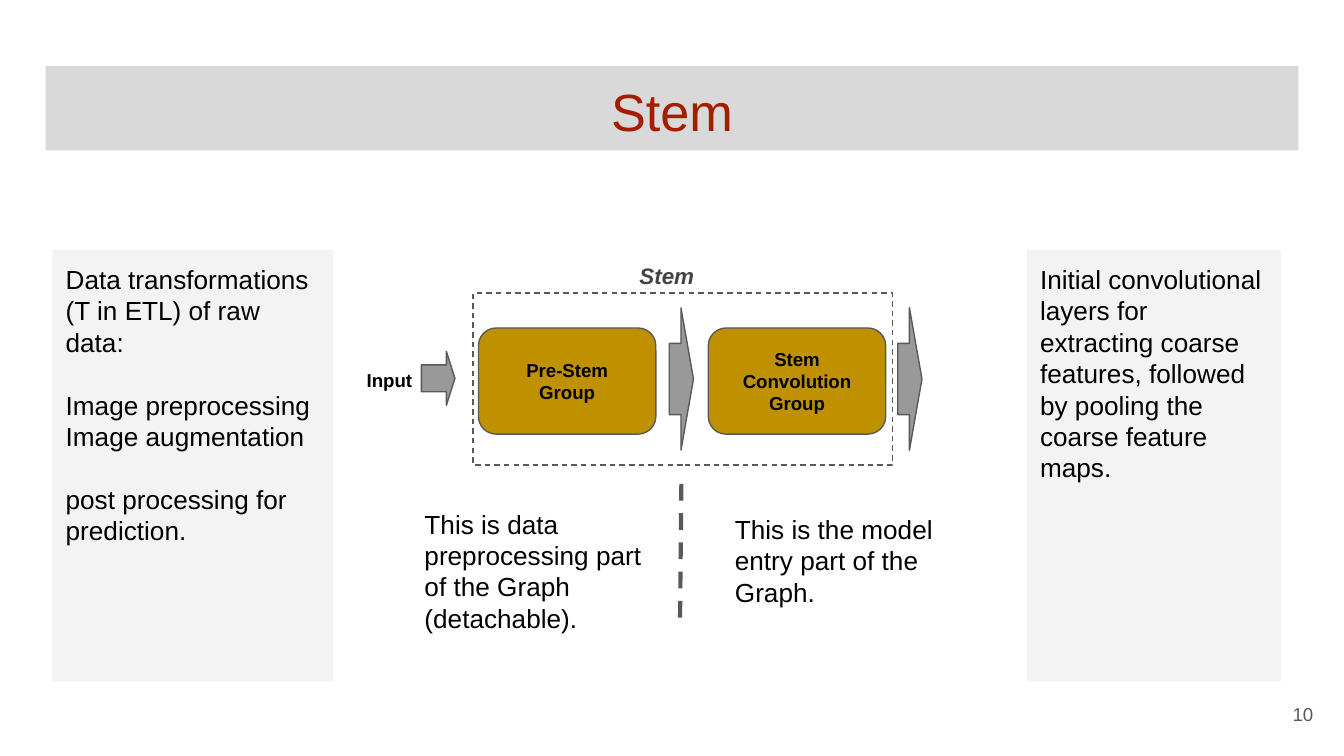
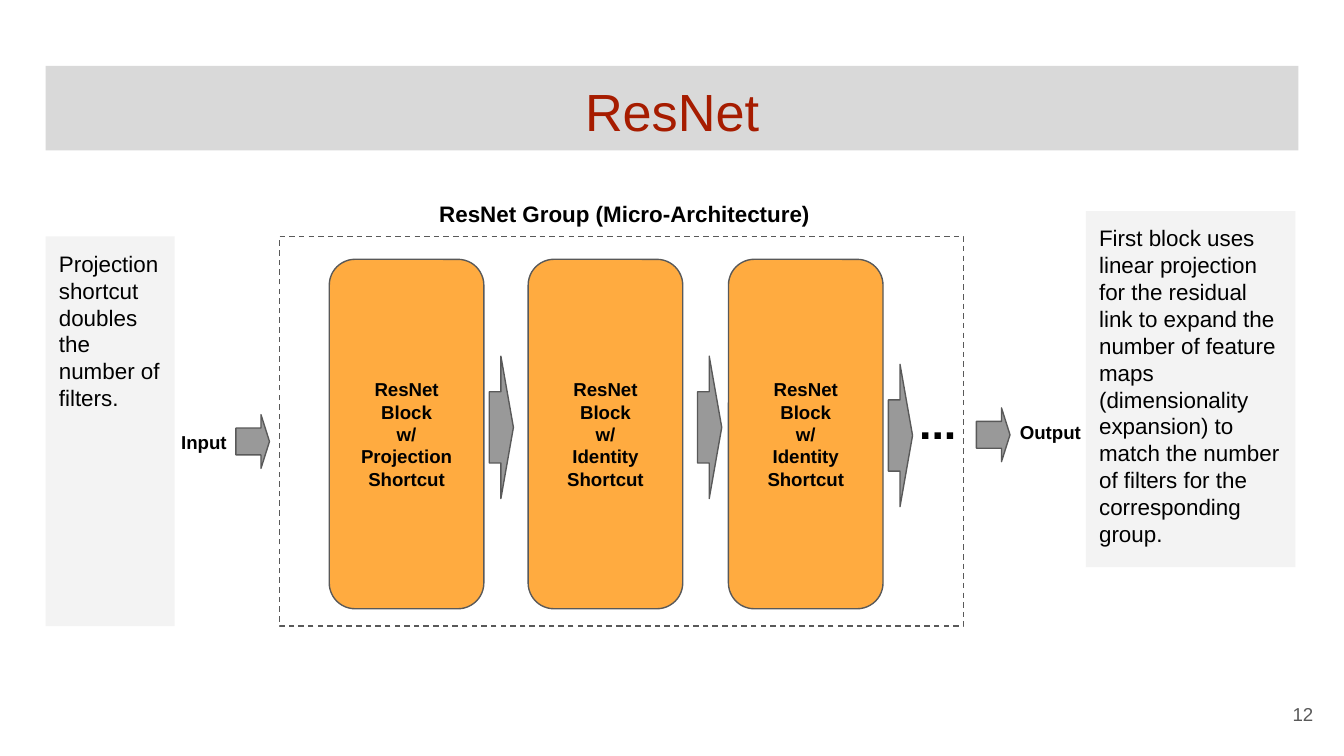
from lxml import etree
from pptx import Presentation
from pptx.dml.color import RGBColor
from pptx.enum import dml, shapes, text
from pptx.oxml.ns import qn
from pptx.util import Inches, Pt

COLORS = {
    "band": "D9D9D9",
    "title": "A61C00",
    "panel": "F3F3F3",
    "ink": "000000",
    "caption": "434343",
    "outline": "595959",
    "arrow": "999999",
    "stem": "BF9000",
    "resnet": "FFAB40",
}
FONT = "Arial"
SHAPE = shapes.MSO_SHAPE
ALIGN = text.PP_ALIGN
ANCHOR = text.MSO_ANCHOR


def rgb(name):
    return RGBColor.from_string(COLORS[name])


def write(target, paragraphs, size, color="ink", bold=False, italic=False,
          align=ALIGN.LEFT, anchor=ANCHOR.TOP, gaps=()):
    frame = target.text_frame
    frame.word_wrap = True
    frame.vertical_anchor = anchor
    frame.margin_left = frame.margin_right = Inches(0.1)
    frame.margin_top = frame.margin_bottom = Inches(0.1)
    for index, content in enumerate(paragraphs):
        paragraph = frame.add_paragraph() if index else frame.paragraphs[0]
        paragraph.alignment = align
        if index in gaps:
            paragraph.space_before = Pt(size * 1.2)
        for part, line in enumerate(content.split("\n")):
            if part:
                paragraph.add_line_break()
            run = paragraph.add_run()
            run.text = line
            run.font.name = FONT
            run.font.size = Pt(size)
            run.font.bold = bold
            run.font.italic = italic
            run.font.color.rgb = rgb(color)


def add_block(slide, kind, box, fill=None, outlined=False):
    block = slide.shapes.add_shape(kind, *map(Inches, box))
    block.shadow.inherit = False
    if fill:
        block.fill.solid()
        block.fill.fore_color.rgb = rgb(fill)
    else:
        block.fill.background()
    if outlined:
        block.line.color.rgb = rgb("outline")
        block.line.width = Pt(0.75)
    else:
        block.line.fill.background()
    return block


def add_label(slide, box, content, size, **style):
    label = slide.shapes.add_textbox(*map(Inches, box))
    write(label, [content], size, **style)


def add_panel(slide, box, paragraphs, size, gaps=()):
    write(add_block(slide, SHAPE.RECTANGLE, box, "panel"), paragraphs, size, gaps=gaps)


def add_group(slide, box, paragraphs, fill):
    group = add_block(slide, SHAPE.ROUNDED_RECTANGLE, box, fill, True)
    group.adjustments[0] = 0.167
    write(group, paragraphs, 10, bold=True, align=ALIGN.CENTER, anchor=ANCHOR.MIDDLE)


def add_arrow(slide, left, top, width, height, head):
    arrow = add_block(slide, SHAPE.DOWN_ARROW, (left, top, width, height), "arrow", True)
    arrow.rotation = 270
    arrow.adjustments[0] = 0.5
    arrow.adjustments[1] = head


def add_flow_arrow(slide, left, top):
    add_arrow(slide, left, top, 1.06, 0.18, 0.517)


def add_port_arrow(slide, left, top):
    add_arrow(slide, left, top, 0.4, 0.25, 0.253)


def add_frame(slide, box):
    frame = add_block(slide, SHAPE.RECTANGLE, box, outlined=True)
    frame.line.dash_style = dml.MSO_LINE.DASH


def add_divider(slide, start, end):
    divider = slide.shapes.add_connector(
        shapes.MSO_CONNECTOR.STRAIGHT, *map(Inches, start + end))
    divider.line.color.rgb = rgb("outline")
    divider.line.width = Pt(2.25)
    divider.line.dash_style = dml.MSO_LINE.DASH
    etree.SubElement(divider._element.spPr, qn("a:effectLst"))


def add_page(deck, title):
    slide = deck.slides.add_slide(deck.slide_layouts[6])
    band = add_block(slide, SHAPE.RECTANGLE, (0.34, 0.49, 9.32, 0.63), "band")
    write(band, [title], 28, color="title", align=ALIGN.CENTER)
    return slide


def add_page_number(slide, number):
    add_label(slide, (9.27, 5.1, 0.6, 0.43), number, 10, color="outline",
              align=ALIGN.RIGHT, anchor=ANCHOR.MIDDLE)


def build_stem(deck):
    slide = add_page(deck, "Stem")
    add_label(slide, (5.37, 3.72, 2, 0.72),
              "This is the model entry part of the Graph.", 14)
    stages = [(5.27, 6.24, "Stem\nConvolution Group"), (3.56, 4.54, "Pre-Stem\nGroup")]
    for group_left, arrow_left, name in stages:
        add_group(slide, (group_left, 2.44, 1.32, 0.79), [name], "stem")
        add_flow_arrow(slide, arrow_left, 2.73)
    add_frame(slide, (3.52, 2.18, 3.12, 1.28))
    add_label(slide, (4.66, 1.85, 0.83, 0.43), "Stem", 12,
              color="caption", bold=True, italic=True)
    add_port_arrow(slide, 3.06, 2.69)
    add_label(slide, (2.63, 2.66, 0.61, 0.32), "Input", 10, bold=True)
    add_divider(slide, (5.07, 3.6), (5.06, 4.6))
    add_label(slide, (3.06, 3.68, 1.82, 0.79),
              "This is data preprocessing part of the Graph (detachable).", 14)
    add_panel(slide, (7.64, 1.86, 1.89, 3.21),
              ["Initial convolutional layers for extracting coarse features, "
               "followed by pooling the coarse feature maps."], 14)
    add_panel(slide, (0.39, 1.86, 2.09, 3.21),
              ["Data transformations (T in ETL) of raw data:",
               "Image preprocessing",
               "Image augmentation",
               "post processing for prediction."], 14, gaps=(1, 3))
    add_page_number(slide, "10")


def build_resnet(deck):
    slide = add_page(deck, "ResNet")
    add_panel(slide, (8.08, 1.57, 1.56, 2.65),
              ["First block uses linear projection for the residual link to expand "
               "the number of feature maps (dimensionality expansion) to match the "
               "number of filters for the corresponding group."], 12)
    add_frame(slide, (2.08, 1.76, 5.09, 2.9))
    add_label(slide, (3.17, 1.39, 4.44, 0.43),
              "ResNet Group (Micro-Architecture)", 12, bold=True)
    blocks = [(2.45, "Projection"), (3.93, "Identity"), (5.42, "Identity")]
    for left, shortcut in blocks:
        add_group(slide, (left, 1.93, 1.15, 2.6),
                  ["ResNet", "Block", "w/", shortcut, "Shortcut"], "resnet")
    for left, top in ((3.2, 3.09), (4.75, 3.09), (6.17, 3.15)):
        add_flow_arrow(slide, left, top)
    add_label(slide, (6.74, 2.84, 0.61, 0.54), "...", 24, bold=True)
    add_port_arrow(slide, 1.68, 3.16)
    add_port_arrow(slide, 7.19, 3.11)
    add_label(slide, (1.25, 3.12, 0.61, 0.32), "Input", 10, bold=True)
    add_label(slide, (7.49, 3.05, 0.69, 0.32), "Output", 10, bold=True)
    add_panel(slide, (0.34, 1.76, 0.96, 2.9),
              ["Projection shortcut doubles the number of filters."], 12)
    add_page_number(slide, "12")


def main():
    deck = Presentation()
    deck.slide_width = Inches(10)
    deck.slide_height = deck.slide_width * 9 // 16
    build_stem(deck)
    build_resnet(deck)
    deck.save("out.pptx")


if __name__ == "__main__":
    main()
